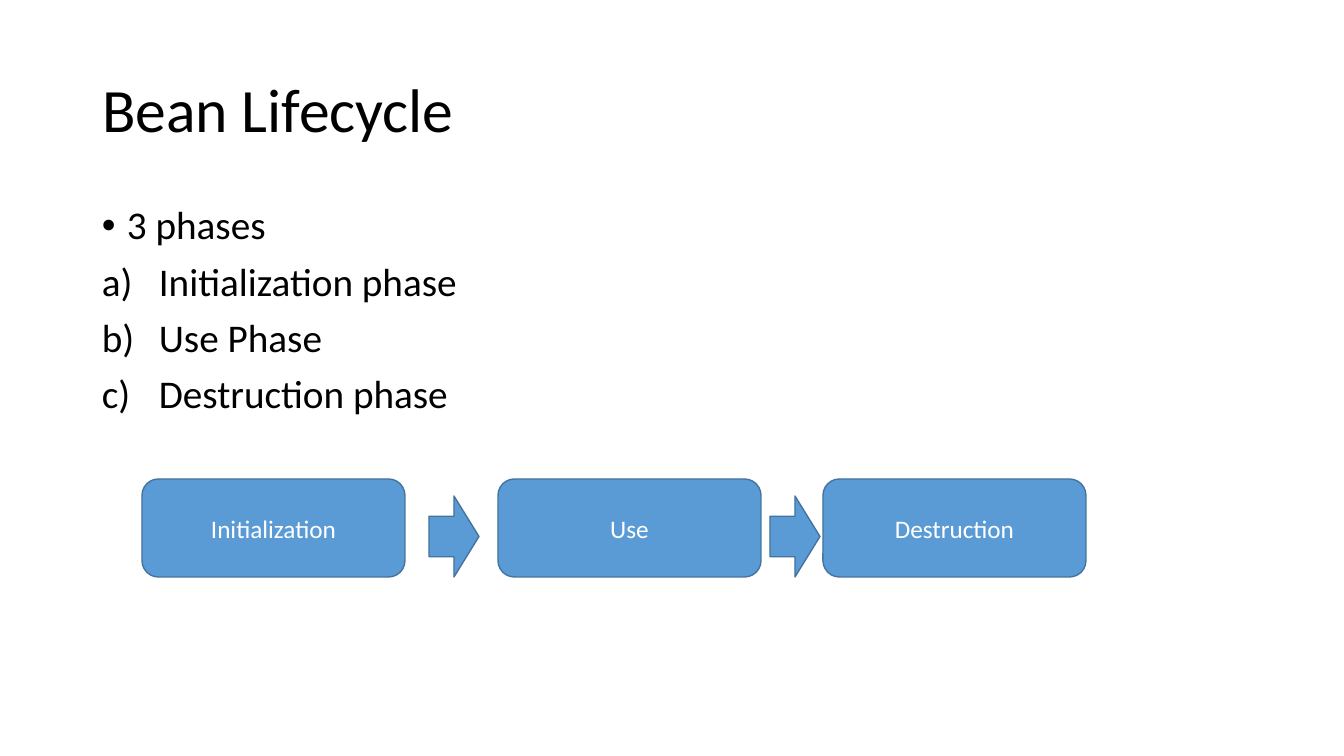
from dataclasses import dataclass

from lxml import etree
from pptx import Presentation
from pptx.dml.color import RGBColor
from pptx.enum.shapes import MSO_SHAPE
from pptx.enum.text import MSO_ANCHOR, MSO_AUTO_SIZE, PP_ALIGN
from pptx.oxml.ns import qn
from pptx.util import Pt

ROUNDED, ARROW = MSO_SHAPE.ROUNDED_RECTANGLE, MSO_SHAPE.RIGHT_ARROW
MIDDLE, TOP = MSO_ANCHOR.MIDDLE, MSO_ANCHOR.TOP
LEFT, CENTER = PP_ALIGN.LEFT, PP_ALIGN.CENTER
NO_AUTOFIT = MSO_AUTO_SIZE.NONE
TITLE_ONLY = 5
PX_PER_INCH = 100.8


@dataclass(frozen=True)
class Theme:
    """Colours and type sizes of the slide."""
    font: str = "Calibri"
    ink: str = "000000"
    fill: str = "5B9BD5"
    outline: str = "43739E"
    on_fill: str = "FFFFFF"
    title: int = 44
    body: int = 28
    label: int = 18


THEME = Theme()
BULLET = (25, "buChar", {"char": "•"})
LETTER = (57, "buAutoNum", {"type": "alphaLcParenR"})
PHASE_LIST = [
    ("3 phases", BULLET),
    ("Initialization phase", LETTER),
    ("Use Phase", LETTER),
    ("Destruction phase", LETTER),
]
STAGES = [("Initialization", 0), ("Use", 356), ("Destruction", 681)]
ARROW_LEFTS = [287, 628]


def px(length):
    """Turn px into EMU."""
    return round(length * 914400 / PX_PER_INCH)


def apply(target, **values):
    """Set each named attribute on the target."""
    for name, value in values.items():
        setattr(target, name, value)


def place(part, box):
    """Move a part to a px box."""
    left, top, width, height = map(px, box)
    apply(part, left=left, top=top, width=width, height=height)


def write(paragraph, text, size, color, **values):
    """Fill and format one paragraph."""
    paragraph.text = text
    apply(paragraph, **values)
    font = paragraph.runs[0].font
    apply(font, name=THEME.font, size=Pt(size))
    font.color.rgb = RGBColor.from_string(color)


def add_marker(paragraph, marker):
    """Give a paragraph its bullet or letter with a hanging indent."""
    indent, tag, attributes = marker
    properties = paragraph._p.get_or_add_pPr()
    properties.set("marL", str(px(indent)))
    properties.set("indent", str(-px(indent)))
    etree.SubElement(properties, qn("a:buFont"), typeface="Arial")
    etree.SubElement(properties, qn(f"a:{tag}"), attributes)


def add_title(slide, box):
    """Place the slide title."""
    title = slide.shapes.title
    place(title, box)
    apply(title.text_frame, vertical_anchor=MIDDLE, word_wrap=True, auto_size=NO_AUTOFIT)
    write(title.text_frame.paragraphs[0], "Bean Lifecycle", THEME.title, THEME.ink,
          alignment=LEFT, line_spacing=0.9)


def add_phase_list(slide, box):
    """Place the list of phases."""
    frame = slide.shapes.add_textbox(*map(px, box)).text_frame
    apply(frame, vertical_anchor=TOP, word_wrap=True, auto_size=NO_AUTOFIT)
    for index, (text, marker) in enumerate(PHASE_LIST):
        paragraph = frame.add_paragraph() if index else frame.paragraphs[0]
        add_marker(paragraph, marker)
        write(paragraph, text, THEME.body, THEME.ink,
              line_spacing=0.9, space_before=Pt(10 if index else 0))


def add_block(slide, preset, box):
    """Add one filled and outlined shape."""
    block = slide.shapes.add_shape(preset, *map(px, box))
    block.shadow.inherit = False
    block.fill.solid()
    block.fill.fore_color.rgb = RGBColor.from_string(THEME.fill)
    block.line.color.rgb = RGBColor.from_string(THEME.outline)
    block.line.width = Pt(1)
    return block


def add_lifecycle(slide, box):
    """Draw the stages and the arrows between them."""
    left, top, stage_width, height = box
    for label, offset in STAGES:
        stage = add_block(slide, ROUNDED, (left + offset, top, stage_width, height))
        stage.text_frame.vertical_anchor = MIDDLE
        write(stage.text_frame.paragraphs[0], label, THEME.label, THEME.on_fill,
              alignment=CENTER)
    for offset in ARROW_LEFTS:
        add_block(slide, ARROW, (left + offset, top + 17, 50, 81))


def main():
    """Build and save the slide."""
    deck = Presentation()
    apply(deck, slide_width=px(1344), slide_height=px(756))
    slide = deck.slides.add_slide(deck.slide_layouts[TITLE_ONLY])
    add_title(slide, (92, 40, 1159, 146))
    add_phase_list(slide, (92, 201, 1159, 480))
    add_lifecycle(slide, (142, 479, 263, 98))
    deck.save("out.pptx")


if __name__ == "__main__":
    main()
